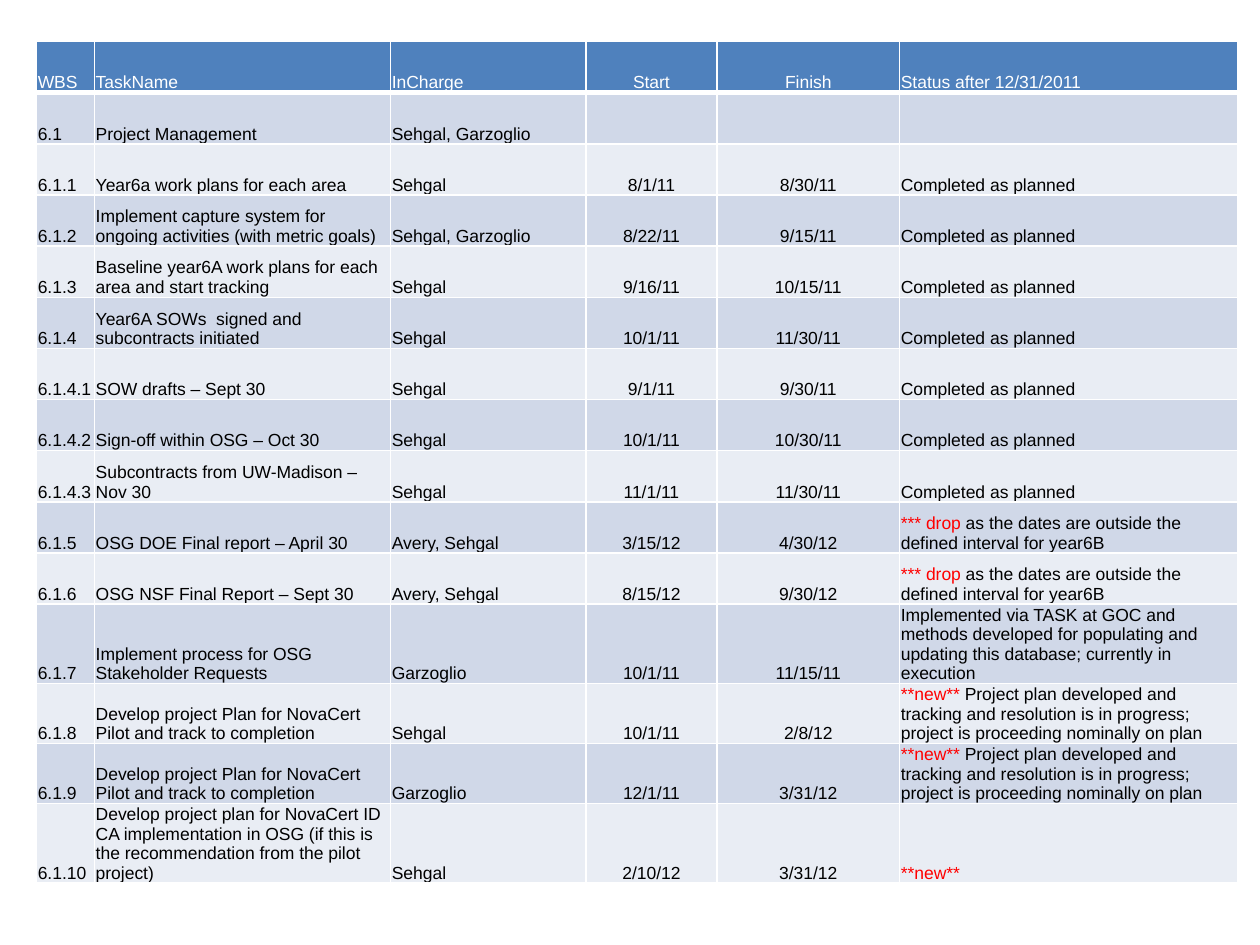
from dataclasses import dataclass

from lxml import etree
from pptx import Presentation
from pptx.dml.color import RGBColor
from pptx.enum.text import MSO_ANCHOR, PP_ALIGN
from pptx.oxml.ns import qn
from pptx.util import Inches, Pt

BOTTOM = MSO_ANCHOR.BOTTOM
LEFT = PP_ALIGN.LEFT
CENTER = PP_ALIGN.CENTER

COLUMN_WIDTHS = [0.46, 2.35, 1.55, 1.04, 1.45, 2.68]
COLUMN_ALIGNMENTS = [LEFT, LEFT, LEFT, CENTER, CENTER, LEFT]
DONE = ("", "Completed as planned")
DROP = ("*** drop", " as the dates are outside the defined interval for year6B")
NEW = (
    "**new**",
    " Project plan developed and tracking and resolution is in progress; "
    "project is proceeding nominally on plan",
)
PILOT = "Develop project Plan for NovaCert Pilot and track to completion"

HEADINGS = ["WBS", "TaskName", "InCharge", "Start", "Finish", ("", "Status after 12/31/2011")]
TASKS = [
    ["6.1", "Project Management", "Sehgal, Garzoglio", "", "", ("", "")],
    ["6.1.1", "Year6a work plans for each area", "Sehgal", "8/1/11", "8/30/11", DONE],
    ["6.1.2", "Implement capture system for ongoing activities (with metric goals)",
     "Sehgal, Garzoglio", "8/22/11", "9/15/11", DONE],
    ["6.1.3", "Baseline year6A work plans for each area and start tracking",
     "Sehgal", "9/16/11", "10/15/11", DONE],
    ["6.1.4", "Year6A SOWs  signed and subcontracts initiated",
     "Sehgal", "10/1/11", "11/30/11", DONE],
    ["6.1.4.1", "SOW drafts – Sept 30", "Sehgal", "9/1/11", "9/30/11", DONE],
    ["6.1.4.2", "Sign-off within OSG – Oct 30", "Sehgal", "10/1/11", "10/30/11", DONE],
    ["6.1.4.3", "Subcontracts from UW-Madison – Nov 30",
     "Sehgal", "11/1/11", "11/30/11", DONE],
    ["6.1.5", "OSG DOE Final report – April 30", "Avery, Sehgal", "3/15/12", "4/30/12", DROP],
    ["6.1.6", "OSG NSF Final Report – Sept 30", "Avery, Sehgal", "8/15/12", "9/30/12", DROP],
    ["6.1.7", "Implement process for OSG Stakeholder Requests",
     "Garzoglio", "10/1/11", "11/15/11",
     ("", "Implemented via TASK at GOC and methods developed for populating and "
          "updating this database; currently in execution")],
    ["6.1.8", PILOT, "Sehgal", "10/1/11", "2/8/12", NEW],
    ["6.1.9", PILOT, "Garzoglio", "12/1/11", "3/31/12", NEW],
    ["6.1.10", "Develop project plan for NovaCert ID CA implementation in OSG "
               "(if this is the recommendation from the pilot project)",
     "Sehgal", "2/10/12", "3/31/12", ("**new**", "")],
]


@dataclass(frozen=True)
class Theme:
    font: str = "Arial"
    size: float = 10
    heading: str = "FFFFFF"
    body: str = "000000"
    flag: str = "FF0000"
    border: str = "FFFFFF"
    header_fill: str = "4F81BD"
    bands: tuple = ("D0D8E8", "E9EDF4")
    thin: float = 1
    thick: float = 3


class PageBuilder:
    def __init__(self, page, theme):
        self.page = page
        self.theme = theme

    def style_font(self, font, color):
        font.name = self.theme.font
        font.size = Pt(self.theme.size)
        font.bold = False
        font.color.rgb = RGBColor.from_string(color)

    def add_borders(self, cell, top, bottom):
        properties = cell._tc.get_or_add_tcPr()
        widths = {"lnL": self.theme.thin, "lnR": self.theme.thin, "lnT": top, "lnB": bottom}
        for side, width in widths.items():
            line = etree.SubElement(properties, qn(f"a:{side}"), w=str(Pt(width)))
            fill = etree.SubElement(line, qn("a:solidFill"))
            etree.SubElement(fill, qn("a:srgbClr"), val=self.theme.border)

    def add_cell(self, cell, content, alignment, color, fill):
        cell.margin_left = cell.margin_right = cell.margin_top = Inches(0.01)
        cell.margin_bottom = 0
        cell.vertical_anchor = BOTTOM
        cell.fill.solid()
        cell.fill.fore_color.rgb = RGBColor.from_string(fill)
        para = cell.text_frame.paragraphs[0]
        para.alignment = alignment
        flag, text = content if isinstance(content, tuple) else ("", content)
        for words, shade in ((flag, self.theme.flag), (text, color)):
            if words:
                span = para.add_run()
                span.text = words
                self.style_font(span.font, shade)
        if not para.runs:
            self.style_font(para.font, color)

    def add_table(self, rows, left, top, height):
        theme = self.theme
        frame = self.page.shapes.add_table(
            len(rows), len(COLUMN_WIDTHS), Inches(left), Inches(top),
            Inches(sum(COLUMN_WIDTHS)), Inches(height))
        table = frame.table
        for column, width in zip(table.columns, COLUMN_WIDTHS):
            column.width = Inches(width)
        for number, row in enumerate(rows):
            is_header = number == 0
            color = theme.heading if is_header else theme.body
            fill = theme.header_fill if is_header else theme.bands[(number - 1) % 2]
            above = theme.thick if number == 1 else theme.thin
            below = theme.thick if is_header else theme.thin
            for position, content in enumerate(row):
                cell = table.cell(number, position)
                self.add_borders(cell, above, below)
                self.add_cell(cell, content, COLUMN_ALIGNMENTS[position], color, fill)


def main():
    deck = Presentation()
    deck.slide_width = Inches(10)
    deck.slide_height = Inches(7.5)
    page = deck.slides.add_slide(deck.slide_layouts[6])
    builder = PageBuilder(page, Theme())
    builder.add_table([HEADINGS, *TASKS], left=0.29, top=0.33, height=6.09)
    deck.save("out.pptx")


if __name__ == "__main__":
    main()
